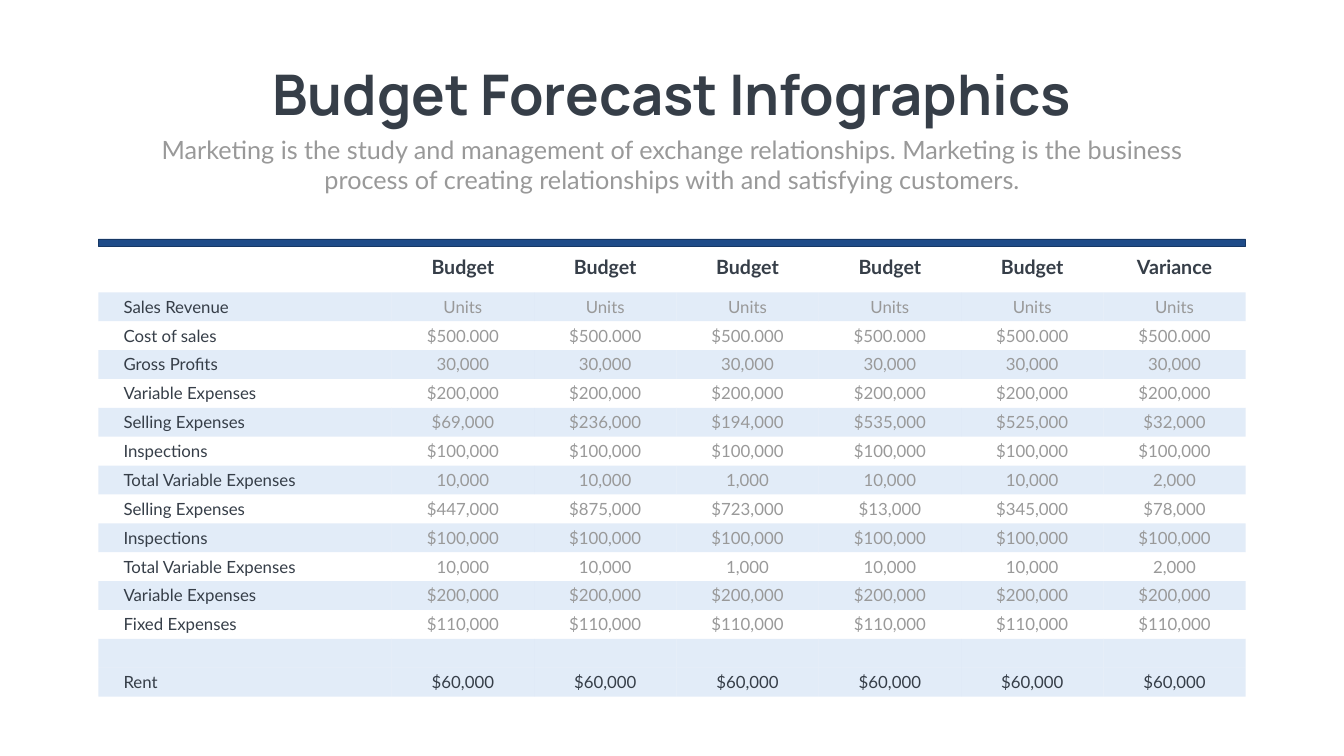
from dataclasses import dataclass

from pptx import Presentation
from pptx.dml.color import RGBColor
from pptx.enum.shapes import MSO_SHAPE
from pptx.enum.text import MSO_ANCHOR, PP_ALIGN
from pptx.oxml.ns import qn
from pptx.util import Pt
from lxml.etree import SubElement

PX = 9144  # 100 px to the inch
NO_STYLE = "{2D5ABB26-0587-4C30-8999-92F81FD0307C}"


@dataclass(frozen=True)
class Theme:
    dark: str = "363E48"
    grey: str = "999999"
    band: str = "C7DAF2"
    bar: str = "1F4C89"
    bar_line: str = "173865"
    heading: str = "Manrope"
    body: str = "Lato"
    title_size: int = 80
    subtitle_size: int = 36
    header_size: int = 28
    cell_size: int = 24


THEME = Theme()
TITLE = "Budget Forecast Infographics"
SUBTITLE = ("Marketing is the study and management of exchange relationships. "
            "Marketing is the business process of creating relationships with "
            "and satisfying customers.")
HEADERS = ["", *["Budget"] * 5, "Variance"]


def same(label, value):
    """A row with one value in every column."""
    return [label, *[value] * 6]


INSPECTIONS = same("Inspections", "$100,000")
VARIABLE = same("Variable Expenses", "$200,000")
TOTAL = ["Total Variable Expenses", "10,000", "10,000", "1,000", "10,000", "10,000", "2,000"]
ROWS = [
    HEADERS,
    same("Sales Revenue", "Units"),
    same("Cost of sales", "$500.000"),
    same("Gross Profits", "30,000"),
    VARIABLE,
    ["Selling Expenses", "$69,000", "$236,000", "$194,000", "$535,000", "$525,000", "$32,000"],
    INSPECTIONS,
    TOTAL,
    ["Selling Expenses", "$447,000", "$875,000", "$723,000", "$13,000", "$345,000", "$78,000"],
    INSPECTIONS,
    TOTAL,
    VARIABLE,
    same("Fixed Expenses", "$110,000"),
    same("", ""),
    same("Rent", "$60,000"),
]


def px(*values):
    return [round(v * PX) for v in values]


def write(tf, text, align=PP_ALIGN.CENTER, color=THEME.grey, **font):
    p = tf.paragraphs[0]
    p.alignment = align
    r = p.add_run()
    r.text = text
    for name, value in font.items():
        setattr(r.font, name, value)
    r.font.color.rgb = RGBColor.from_string(color)


def add_heading(s, x, y, w):
    title = s.shapes.add_textbox(*px(x + 179, y, w - 359, 145)).text_frame
    title.word_wrap = False
    write(title, TITLE, color=THEME.dark, name=THEME.heading,
          size=Pt(THEME.title_size), bold=True)
    subtitle = s.shapes.add_textbox(*px(x, y + 147, w, 131)).text_frame
    subtitle.word_wrap = True
    write(subtitle, SUBTITLE, name=THEME.body, size=Pt(THEME.subtitle_size))


def fill_band(cell):
    cell.fill.solid()
    cell.fill.fore_color.rgb = RGBColor.from_string(THEME.band)
    color = cell._tc.tcPr.find(".//" + qn("a:srgbClr"))
    SubElement(color, qn("a:alpha"), val="50000")


def format_cell(cell, text, row, col):
    header, last = row == 0, row == len(ROWS) - 1
    if row % 2 and not header or last:
        fill_band(cell)
    else:
        cell.fill.background()
    cell.vertical_anchor = MSO_ANCHOR.MIDDLE
    if not text:
        return
    if col == 0:
        cell.margin_left = px(50)[0]
    write(cell.text_frame, text,
          align=PP_ALIGN.CENTER if col else PP_ALIGN.LEFT,
          color=THEME.dark if header or last or col == 0 else THEME.grey,
          name=THEME.body, bold=header,
          size=Pt(THEME.header_size if header else THEME.cell_size))


def add_budget_table(s, x, y, w, h):
    label_w, header_h = 582, 100
    table = s.shapes.add_table(len(ROWS), len(HEADERS), *px(x, y, w, h)).table
    table.first_row = table.horz_banding = False
    table._tbl.tblPr.find(qn("a:tableStyleId")).text = NO_STYLE
    value_w = (w - label_w) / (len(HEADERS) - 1)
    row_h = (h - header_h) / (len(ROWS) - 1)
    for i, column in enumerate(table.columns):
        column.width = px(value_w if i else label_w)[0]
    for i, row in enumerate(table.rows):
        row.height = px(row_h if i else header_h)[0]
        for j, text in enumerate(ROWS[i]):
            format_cell(table.cell(i, j), text, i, j)


def add_top_bar(s, x, y, w, h):
    sp = s.shapes.add_shape(MSO_SHAPE.RECTANGLE, *px(x, y, w, h))
    sp.shadow.inherit = False
    sp.fill.solid()
    sp.fill.fore_color.rgb = RGBColor.from_string(THEME.bar)
    sp.line.color.rgb = RGBColor.from_string(THEME.bar_line)
    sp.line.width = Pt(1)


def main():
    prs = Presentation()
    prs.slide_width, prs.slide_height = px(2666, 1500)
    s = prs.slides.add_slide(prs.slide_layouts[6])
    add_heading(s, 292, 114, 2082)
    add_budget_table(s, 195, 480, 2276, 902)
    add_top_bar(s, 195, 474, 2276, 15)
    prs.save("out.pptx")


if __name__ == "__main__":
    main()
